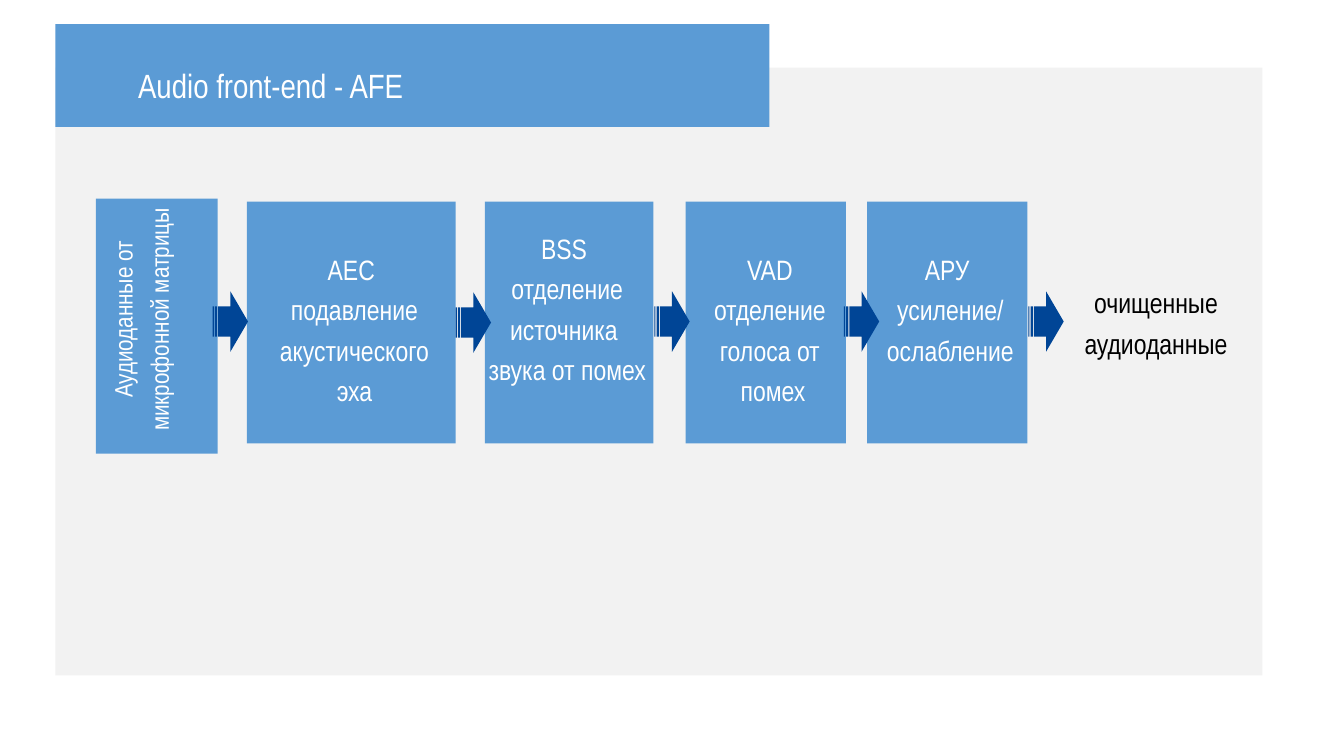
"""Build the slide showing the stages of an audio front-end."""
from pptx import Presentation
from pptx import util as u
from pptx.dml.color import RGBColor
from pptx.enum import shapes, text

PX = 9144
COLORS = {"panel": "F2F2F2", "block": "5B9BD5", "arrow": "004596",
          "light": "FFFFFF", "dark": "000000"}


def add_block(kind, left, top, width, height, color):
    block = page.shapes.add_shape(kind, left * PX, top * PX, width * PX, height * PX)
    block.shadow.inherit = False
    block.fill.solid()
    block.fill.fore_color.rgb = RGBColor.from_string(COLORS[color])
    block.line.fill.background()
    return block


def write(box, lines, size, color, align):
    frame = box.text_frame
    frame.word_wrap = True
    frame.auto_size = text.MSO_AUTO_SIZE.NONE
    frame.vertical_anchor = text.MSO_ANCHOR.TOP
    frame.margin_left, frame.margin_right = 0, 10 * PX
    frame.margin_top = frame.margin_bottom = 5 * PX
    for number, line in enumerate(lines):
        para = frame.add_paragraph() if number else frame.paragraphs[0]
        properties = para._p.get_or_add_pPr()
        properties.set("marL", str(50 * PX))
        properties.set("indent", "0")
        para.alignment = align
        para.line_spacing = 1.2
        para.space_before = para.space_after = u.Pt(0)
        span = para.add_run()
        span.text = line
        span.font.name = "Arial Narrow"
        span.font.size = u.Pt(size)
        span.font.color.rgb = RGBColor.from_string(COLORS[color])


deck = Presentation()
deck.slide_width, deck.slide_height = 1333 * PX, 750 * PX
page = deck.slides.add_slide(deck.slide_layouts[5])
RECTANGLE = shapes.MSO_SHAPE.RECTANGLE
CENTER = text.PP_ALIGN.CENTER

add_block(RECTANGLE, 55, 67, 1197, 603, "panel")
banner = add_block(RECTANGLE, 55, 24, 708, 102, "block")

title = page.shapes.title
title.left, title.top, title.width, title.height = 87 * PX, 51 * PX, 689 * PX, 54 * PX
write(title, ["Аudio front-end - AFE"], 24, "light", text.PP_ALIGN.LEFT)
banner.element.addnext(title.element)

add_block(RECTANGLE, 95, 197, 121, 253, "block")
source = page.shapes.add_textbox(3 * PX, 279 * PX, 301 * PX, 116 * PX)
source.rotation = 270
write(source, ["Аудиоданные от микрофонной матрицы"], 18, "light", CENTER)

stages = [
    (245, 207, 211, 239, 172, ["AEC ", "подавление акустического эха"]),
    (481, 167, 422, 218, 172, ["BSS ", "отделение источника ", "звука от помех"]),
    (680, 159, 623, 239, 172, ["VAD", "отделение голоса от", " помех"]),
    (860, 159, 802, 239, 131, ["АРУ ", "усиление/", "ослабление"]),
]
for left, width, text_left, text_top, text_height, lines in stages:
    add_block(RECTANGLE, left, 200, width, 240, "block")
    label = page.shapes.add_textbox(text_left * PX, text_top * PX, 241 * PX, text_height * PX)
    write(label, lines, 20, "light", CENTER)

for left, top in [(211, 289), (452, 290), (649, 289), (837, 289), (1020, 289)]:
    add_block(shapes.MSO_SHAPE.STRIPED_RIGHT_ARROW, left, top, 35, 60, "arrow")

result = page.shapes.add_textbox(1006 * PX, 272 * PX, 241 * PX, 87 * PX)
write(result, ["очищенные аудиоданные"], 20, "dark", CENTER)

deck.save("out.pptx")
